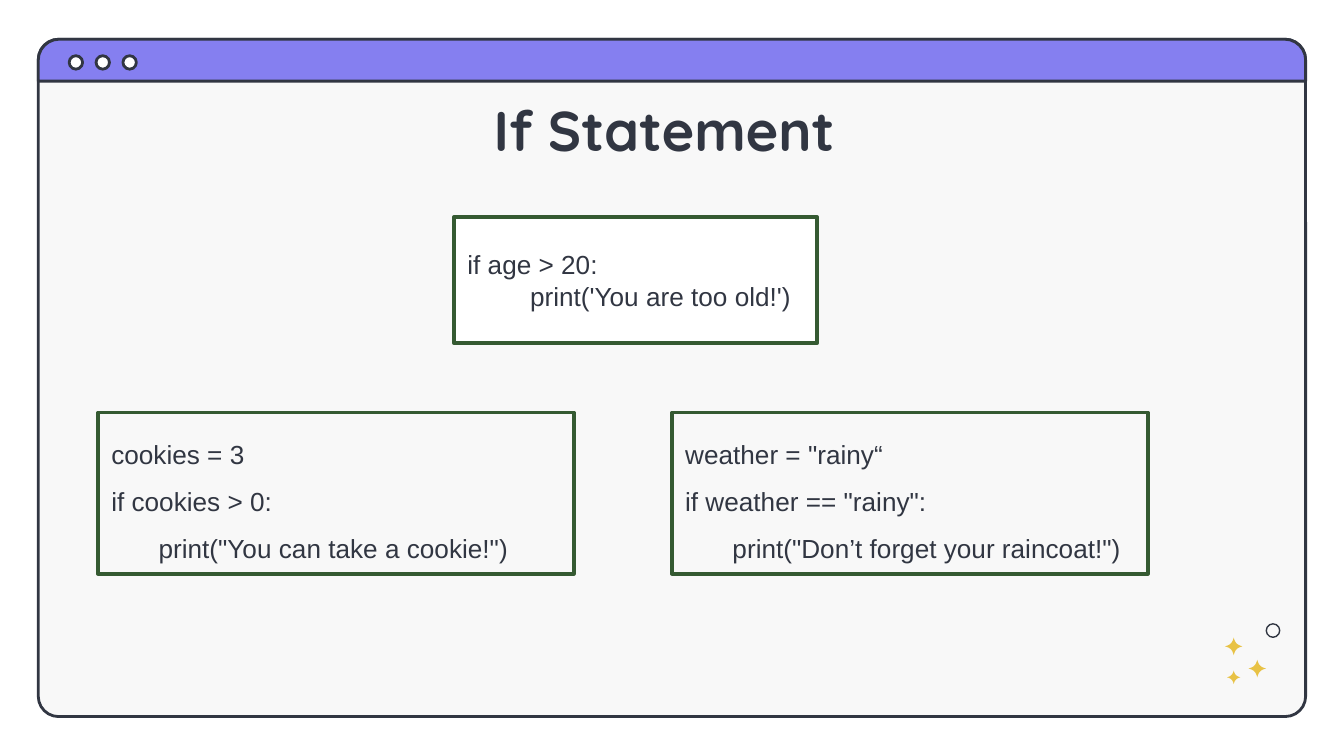
from dataclasses import dataclass
from math import cos, pi, sin

from pptx import Presentation
from pptx.dml.color import RGBColor
from pptx.enum.shapes import MSO_SHAPE as Shape
from pptx.enum.text import MSO_ANCHOR as Anchor, MSO_AUTO_SIZE as AutoSize, PP_ALIGN as Align
from pptx.util import Inches, Pt


@dataclass(frozen=True)
class Theme:
    ink: str = "313642"
    panel: str = "F8F8F8"
    bar: str = "857FF0"
    white: str = "FFFFFF"
    frame: str = "355A32"
    star: str = "E8C245"
    title_font: str = "Quicksand"
    code_font: str = "Arial"
    title_size: float = 30
    code_size: float = 14


THEME = Theme()
TITLE = "If Statement "
CODE_BOXES = [
    {"area": (7.3, 30.7, 35.4, 12), "fill": None, "spacing": 1.5, "hanging": 0.19,
     "code": [["cookies = 3"],
              ["if cookies > 0:", '   print("You can take a cookie!")']]},
    {"area": (50, 30.7, 35.4, 12), "fill": None, "spacing": 1.5, "hanging": 0.19,
     "code": [['weather = "rainy“'],
              ['if weather == "rainy":', '   print("Don’t forget your raincoat!")']]},
    {"area": (33.8, 16.15, 27, 9.4), "fill": THEME.white, "spacing": 1, "hanging": 0.25,
     "code": [["if age > 20:", "    print('You are too old!')"]]},
]
PANEL = (2.85, 2.92, 94.3, 50.4)
BAR_ROWS = 3.12
BUTTON_COUNT, BUTTON_START, BUTTON_STEP = 3, 5.15, 2
STARS = [(91.8, 48.1, 0.65), (91.8, 50.4, 0.5), (93.55, 49.75, 0.65)]
CURVE_STEPS = 8

deck = Presentation()
deck.slide_width = Inches(10)
deck.slide_height = deck.slide_width * 9 // 16
UNIT = deck.slide_width / 100
page = deck.slides.add_slide(deck.slide_layouts[5])


def grid(*values):
    return [round(value * UNIT) for value in values]


def color(value):
    return RGBColor.from_string(value)


def paint(shape, fill, line, weight):
    shape.shadow.inherit = False
    if fill:
        shape.fill.solid()
        shape.fill.fore_color.rgb = color(fill)
    else:
        shape.fill.background()
    if line:
        shape.line.color.rgb = color(line)
        shape.line.width = Pt(weight)
    else:
        shape.line.fill.background()


def add_shape(kind, area, fill, line=THEME.ink, weight=1.5, adjustments=()):
    shape = page.shapes.add_shape(kind, *grid(*area))
    for index, value in enumerate(adjustments):
        shape.adjustments[index] = value
    paint(shape, fill, line, weight)
    return shape


def add_span(para, text, font, size, bold=False):
    span = para.add_run()
    span.text = text
    span.font.name, span.font.size, span.font.bold = font, Pt(size), bold
    span.font.color.rgb = color(THEME.ink)


def add_star(center_x, center_y, radius):
    points = []
    for quarter in range(4):
        angle = quarter * pi / 2
        for step in range(CURVE_STEPS):
            t = step / CURVE_STEPS
            along = (1 - t) ** 3 + 1.2 * t * (1 - t) ** 2 + 0.45 * t ** 2 * (1 - t)
            across = t ** 3 + 1.2 * t ** 2 * (1 - t) + 0.45 * t * (1 - t) ** 2
            x = along * cos(angle) - across * sin(angle)
            y = along * sin(angle) + across * cos(angle)
            points.append(grid(center_x + radius * x, center_y + radius * y))
    builder = page.shapes.build_freeform(*points[0])
    builder.add_line_segments(points[1:], close=True)
    paint(builder.convert_to_shape(), THEME.star, None, 0)


def add_code_box(area, fill, spacing, hanging, code):
    box = add_shape(Shape.RECTANGLE, area, fill, THEME.frame, 2)
    frame = box.text_frame
    frame.word_wrap, frame.vertical_anchor = True, Anchor.MIDDLE
    for index, lines in enumerate(code):
        para = frame.add_paragraph() if index else frame.paragraphs[0]
        para.alignment, para.line_spacing = Align.LEFT, spacing
        properties = para._p.get_or_add_pPr()
        properties.set("marL", str(Inches(hanging)))
        properties.set("indent", str(-Inches(hanging)))
        for number, line in enumerate(lines):
            if number:
                para.add_line_break()
            add_span(para, line, THEME.code_font, THEME.code_size)


def add_window():
    left, top, width, height = PANEL
    add_shape(Shape.ROUNDED_RECTANGLE, PANEL, THEME.panel, adjustments=[0.03])
    add_shape(Shape.ROUND_2_SAME_RECTANGLE, (left, top, width, BAR_ROWS), THEME.bar,
              adjustments=[0.5, 0])
    for index in range(BUTTON_COUNT):
        add_shape(Shape.OVAL, (BUTTON_START + index * BUTTON_STEP, 4.15, 1, 1), THEME.white)


def add_title():
    title = page.shapes.title
    page.shapes._spTree.append(title._element)
    title.left, title.top, title.width, title.height = grid(2.9, 5.35, 94.2, 6.3)
    frame = title.text_frame
    frame.auto_size, frame.vertical_anchor, frame.word_wrap = AutoSize.NONE, Anchor.TOP, True
    frame.margin_left = frame.margin_right = frame.margin_top = frame.margin_bottom = Inches(0.1)
    para = frame.paragraphs[0]
    para.alignment, para.line_spacing = Align.CENTER, 1.15
    add_span(para, TITLE, THEME.title_font, THEME.title_size, True)


add_window()
for star in STARS:
    add_star(*star)
add_shape(Shape.OVAL, (94.22, 46.42, 1, 1), None, weight=0.75)
add_title()
for code_box in CODE_BOXES:
    add_code_box(**code_box)
deck.save("out.pptx")
